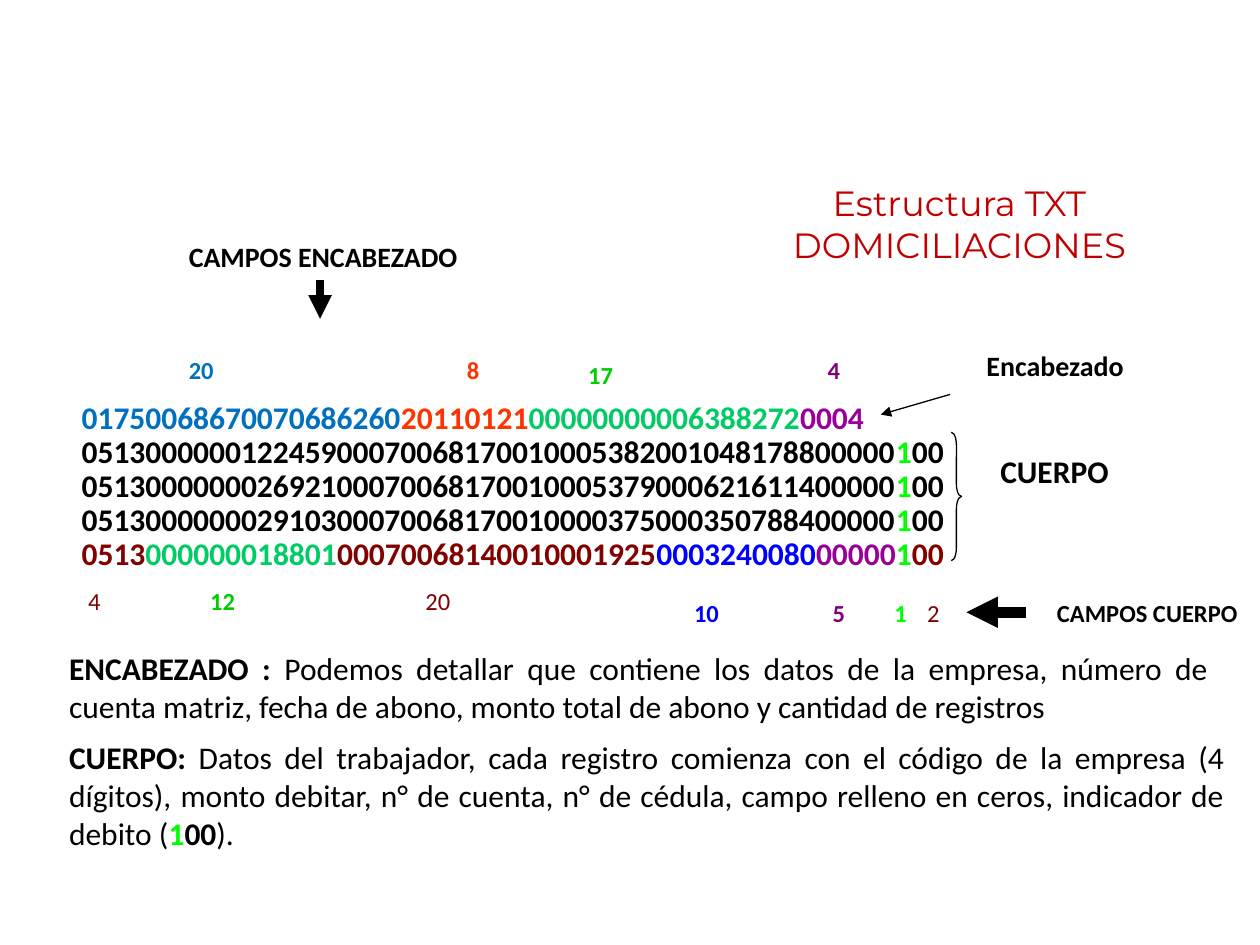
import pptx
import pptx.util
import pptx.dml.color
import pptx.enum.shapes
import pptx.enum.text
import pptx.oxml.ns
from lxml import etree

Pt = pptx.util.Pt
ALIGN = pptx.enum.text.PP_ALIGN
COLORS = {
    "black": "000000", "title": "C00000", "blue": "0070C0", "orange": "FF3300",
    "teal": "00CC66", "violet": "990099", "purple": "800080", "lime": "00FF00",
    "green": "00CC00", "maroon": "820000", "navy": "0000FF",
}
INDICATOR = [("1", "lime", True), ("00", "black", True)]
HEADER_RECORD = [
    ("01750068670070686260", "blue", True), ("20110121", "orange", True),
    ("00000000006388272", "teal", True), ("0004", "violet", True),
]
BODY_RECORDS = [
    "051300000012245900070068170010005382001048178800000",
    "051300000002692100070068170010005379000621611400000",
    "051300000002910300070068170010000375000350788400000",
]
SPLIT_RECORD = [
    ("0513", "maroon", True), ("000000018801", "teal", True),
    ("00070068140010001925", "maroon", True), ("0003240080", "navy", True),
    ("00000", "violet", True), ("1", "lime", True), ("00", "maroon", True),
]
FIELD_LENGTHS = [
    ("20", 100.8, 199.4, "blue", True, ALIGN.LEFT),
    ("8", 250.6, 199.4, "orange", True, ALIGN.CENTER),
    ("17", 329, 202.3, "green", True, ALIGN.LEFT),
    ("4", 465.8, 199.4, "purple", True, ALIGN.LEFT),
    ("4", 43.2, 331.2, "maroon", False, ALIGN.LEFT),
    ("12", 113, 331.2, "green", True, ALIGN.LEFT),
    ("20", 230.4, 331.2, "maroon", False, ALIGN.CENTER),
    ("10", 389.5, 338.4, "navy", True, ALIGN.LEFT),
    ("5", 468.7, 338.4, "purple", True, ALIGN.LEFT),
    ("1", 504, 338.4, "lime", True, ALIGN.LEFT),
    ("2", 522.7, 338.4, "maroon", False, ALIGN.LEFT),
]
HEADINGS = [
    ("CAMPOS ENCABEZADO", (100.8, 133.2, 254.9, 26.6), 16),
    ("Encabezado", (556.6, 195.8, 106.6, 26.6), 16),
    ("CUERPO", (564.5, 254.9, 79.9, 28.8), 18),
    ("CAMPOS CUERPO", (596.9, 338.4, 123.1, 23.8), 14),
]
EXPLANATIONS = [
    ((32.4, 367.2, 665.3, 50.4), [
        ("ENCABEZADO : ", "black", True),
        ("Podemos detallar que contiene los datos de la empresa, número de cuenta "
         "matriz, fecha de abono, monto total de abono y cantidad de registros",
         "black", False),
    ]),
    ((32.4, 418.3, 674.6, 72.7), [
        ("CUERPO: ", "black", True),
        ("Datos del trabajador, cada registro comienza con el código de la empresa "
         "(4 dígitos), monto debitar, n° de cuenta, n° de cédula, campo relleno en "
         "ceros, indicador de debito (", "black", False),
        *INDICATOR,
        (").", "black", False),
    ]),
]
POINTERS = [
    ((182.9, 159.8), (182.9, 182.2), 4.5),
    ((542.9, 225.4), (503.3, 236.9), 0.75),
    ((586.1, 349.9), (552.2, 349.9), 6),
]


def rgb(color):
    return pptx.dml.color.RGBColor.from_string(COLORS[color])


def apply_format(target, values):
    for attribute, value in values.items():
        setattr(target, attribute, value)


def add_run(paragraph, wording, color, size, bold, font_name="Calibri"):
    run = paragraph.add_run()
    run.text = wording
    apply_format(run.font, {"name": font_name, "size": Pt(size), "bold": bold})
    run.font.color.rgb = rgb(color)


def add_text(slide, area, lines, size, align=ALIGN.LEFT, spacing=1.0):
    frame = slide.shapes.add_textbox(*map(Pt, area)).text_frame
    frame.word_wrap = True
    for index, line in enumerate(lines):
        paragraph = frame.add_paragraph() if index else frame.paragraphs[0]
        apply_format(paragraph, {"alignment": align, "line_spacing": spacing})
        for wording, color, bold in line:
            add_run(paragraph, wording, color, size, bold)


def set_title(slide):
    title = slide.shapes.title
    apply_format(title, {"left": Pt(389.5), "top": Pt(104.4),
                         "width": Pt(317.5), "height": Pt(46.1)})
    apply_format(title.text_frame, {
        "word_wrap": True,
        "auto_size": pptx.enum.text.MSO_AUTO_SIZE.NONE,
        "vertical_anchor": pptx.enum.text.MSO_ANCHOR.MIDDLE,
    })
    paragraph = title.text_frame.paragraphs[0]
    paragraph.alignment = ALIGN.CENTER
    add_run(paragraph, "Estructura TXT DOMICILIACIONES", "title", 20, False, "Montserrat")


def add_pointer(slide, start, end, weight):
    pointer = slide.shapes.add_connector(
        pptx.enum.shapes.MSO_CONNECTOR.STRAIGHT, *map(Pt, start + end))
    pointer.line.color.rgb = rgb("black")
    pointer.line.width = Pt(weight)
    qn = pptx.oxml.ns.qn
    etree.SubElement(pointer.line._get_or_add_ln(), qn("a:tailEnd"), type="triangle")
    etree.SubElement(pointer._element.spPr, qn("a:effectLst"))


def add_body_brace(slide):
    brace = slide.shapes.add_shape(
        pptx.enum.shapes.MSO_SHAPE.RIGHT_BRACE,
        Pt(543.6), Pt(247), Pt(5.8), Pt(73.4))
    brace.adjustments[0] = 1.26
    brace.adjustments[1] = 0.5
    brace.shadow.inherit = False
    brace.fill.background()
    brace.line.color.rgb = rgb("black")
    brace.line.width = Pt(0.75)


def main():
    deck = pptx.Presentation()
    apply_format(deck, {"slide_width": Pt(720), "slide_height": Pt(540)})
    slide = deck.slides.add_slide(deck.slide_layouts[5])
    set_title(slide)
    body = [[(digits, "black", True), *INDICATOR] for digits in BODY_RECORDS]
    add_text(slide, (39.6, 226.1, 551.5, 105.1),
             [HEADER_RECORD, *body, SPLIT_RECORD], 18, spacing=0.9)
    for length, left, top, color, bold, align in FIELD_LENGTHS:
        add_text(slide, (left, top, 39.6, 23.8), [[(length, color, bold)]], 14, align)
    for heading, area, size in HEADINGS:
        add_text(slide, area, [[(heading, "black", True)]], size)
    for area, explanation in EXPLANATIONS:
        add_text(slide, area, [explanation], 18, ALIGN.JUSTIFY)
    for start, end, weight in POINTERS:
        add_pointer(slide, start, end, weight)
    add_body_brace(slide)
    deck.save("out.pptx")


if __name__ == "__main__":
    main()
